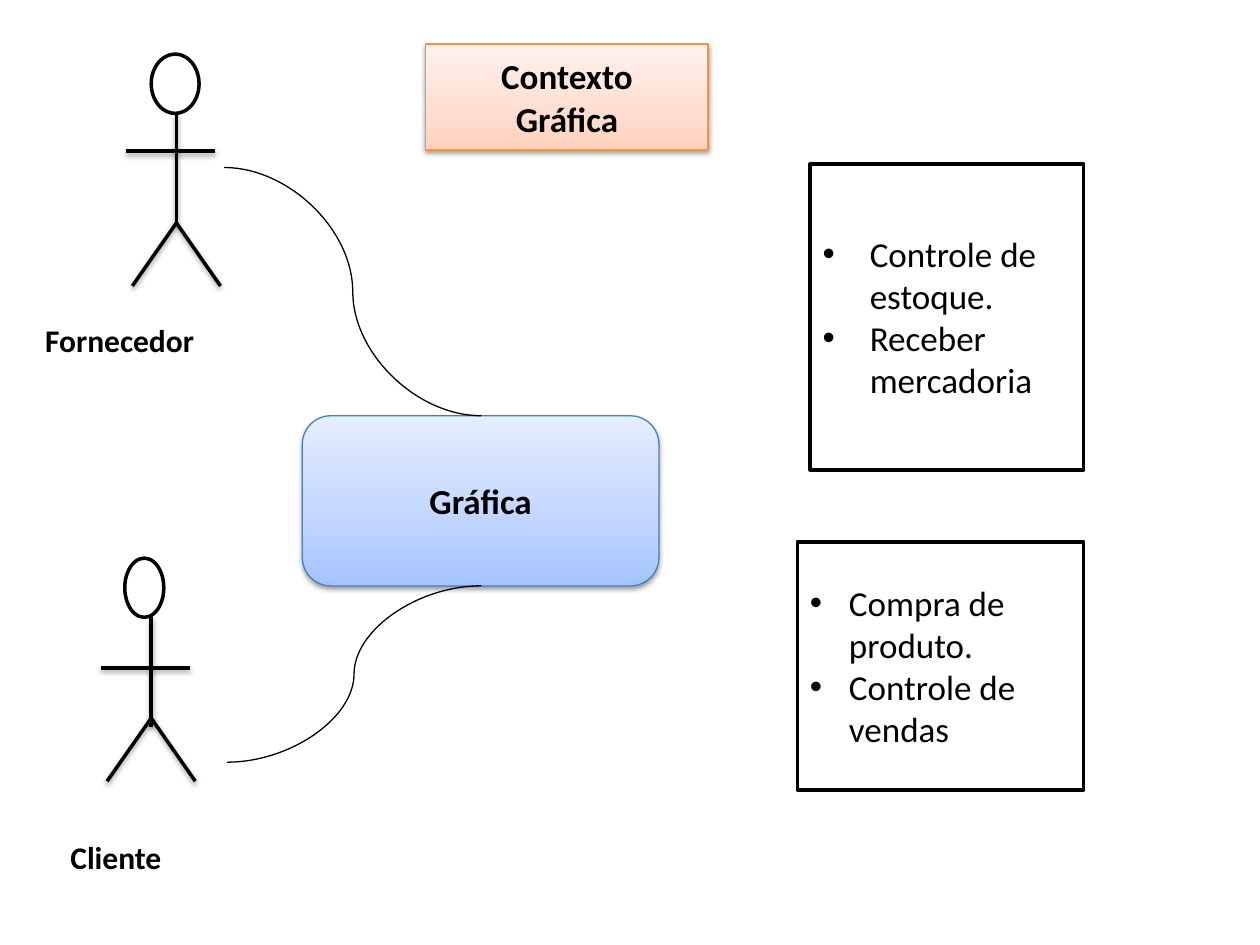
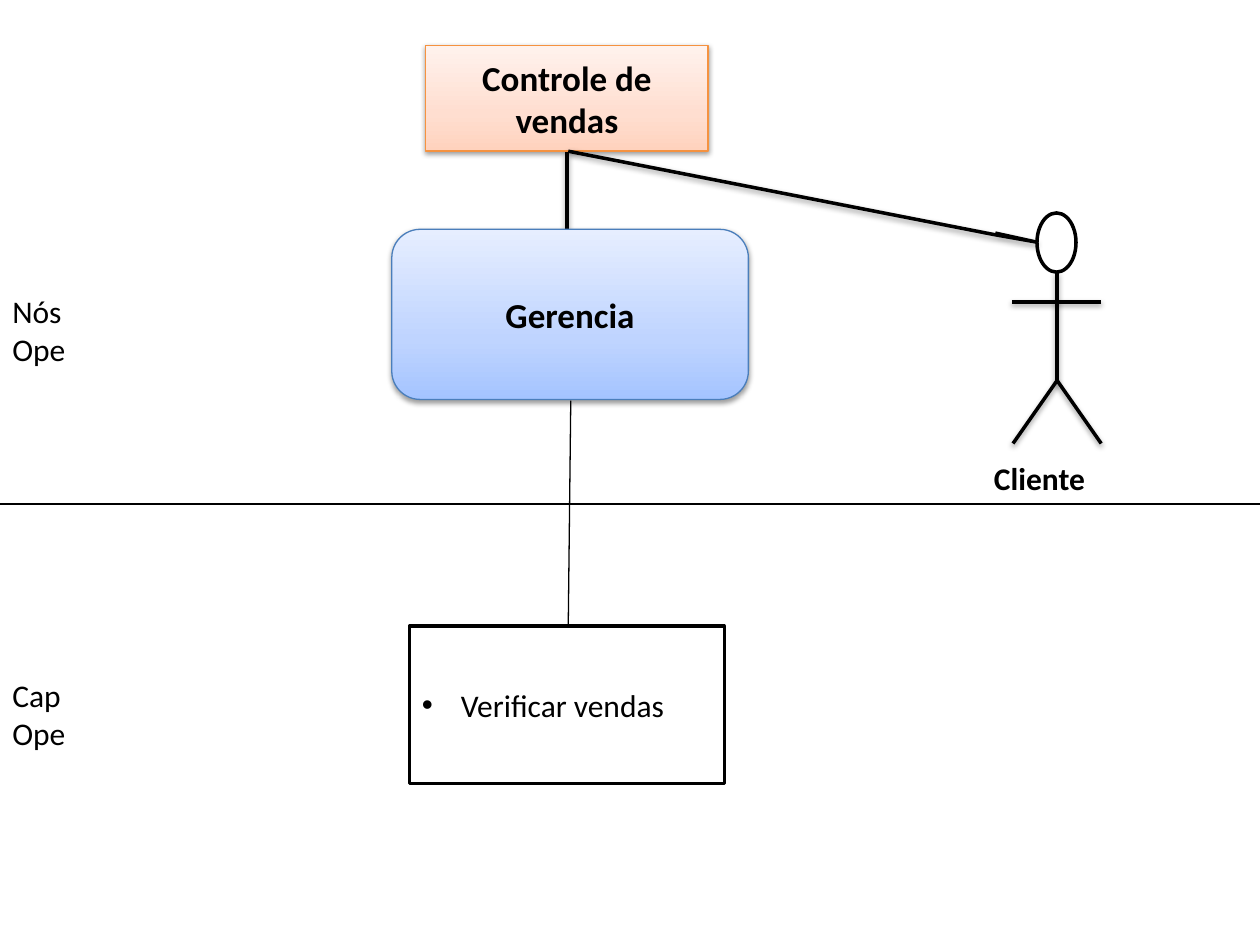
import pptx
import pptx.util
import pptx.dml.color
import pptx.enum.shapes
import pptx.enum.text
import pptx.oxml.ns
from lxml import etree

# Content: all lengths are cells of a grid of 100 columns by 75 rows
COLS, ROWS = 100, 75
CELL = pptx.util.Inches(10) // COLS
BLACK, WHITE = "000000", "FFFFFF"
THIN, THICK = 0.75, 2
ORANGE = dict(edge="F59240", stops=[(0, "FFD2BD"), (35, "FFDED0"), (100, "FFF2ED")])
BLUE = dict(edge="4A7EBB", stops=[(0, "A4C4FF"), (35, "BFD4FF"), (100, "E6EEFF")])
TITLE = (33.8, 22.4, 8.4)    # left, width, height shared by both titles
NODE = (28.3, 13.5)          # width, height of every blue node
HEAD, BODY, ARM, LEG, STEP = 4.7, 8.7, 7.1, 3.5, 5

SLIDES = [
    dict(
        title=(3.5, ["Contexto", "Gráfica"]),
        node=(24, 33, "Gráfica"),
        actors=[
            dict(x=14, top=4.3, head=(12, 3.8), arm=(10, 12), hip=17.7),
            dict(x=12, top=44.3, head=(9.9, 3.1), arm=(8, 53), hip=57),
        ],
        labels=[
            (2.6, 25, 17.9, 4, ["Fornecedor"], True),
            (4.6, 66, 12.8, 4, ["Cliente"], True),
        ],
        lists=[
            (64.3, 13, 21.7, 24.3, 20, 3.75, ["Controle de estoque.", "Receber mercadoria"]),
            (63.3, 43, 22.7, 19.7, 20, 3.1, ["Compra de produto.", "Controle de vendas"]),
        ],
        curves=[(17.8, 13.3, 38.2, 33), (18, 60.5, 38.2, 46.5)],
    ),
    dict(
        title=(3.6, ["Controle de vendas"]),
        node=(31.1, 18.2, "Gerencia"),
        actors=[dict(x=83.9, top=16.9, head=(82.3, 3.1), arm=(80.3, 23.95), hip=30.2)],
        labels=[
            (77.9, 35.9, 11.9, 4, ["Cliente"], True),
            (0, 22.7, 7, 10, ["Nós", "Ope"], False),
            (0, 53.2, 7, 10, ["Cap", "Ope"], False),
        ],
        lists=[(32.5, 49.7, 25, 12.5, 18, 3.1, ["Verificar vendas"])],
        bars=[(45, 12.1, 45, 18.2)],
        rules=[(COLS, 40, 0, 40), (45.3, 31.8, 45.1, 49.7)],
        path=[(45.1, 12), (78.8, 18.6), (82.2, 19.2), (79, 18.5)],
    ),
]

SHAPE = pptx.enum.shapes.MSO_SHAPE
LINK = pptx.enum.shapes.MSO_CONNECTOR
ALIGN = pptx.enum.text.PP_ALIGN
MIDDLE = pptx.enum.text.MSO_ANCHOR.MIDDLE
qn = pptx.oxml.ns.qn


# Helpers
def hue(code):
    return pptx.dml.color.RGBColor.from_string(code)


def grid(*cells):
    return [round(cell * CELL) for cell in cells]


def node(home, tag, **vals):
    return etree.SubElement(home, qn("a:" + tag), {k: str(v) for k, v in vals.items()})


def tint(home, code):
    return node(home, "srgbClr", val=code)


def edge(part, code=BLACK, width=THICK, shade=False):
    part.line.color.rgb = hue(code)
    part.line.width = pptx.util.Pt(width)
    box = node(part._element.spPr, "effectLst")
    if shade:
        drop = node(box, "outerShdw", blurRad=pptx.util.Pt(3.1),
                    dist=pptx.util.Pt(1.6), dir=5400000, rotWithShape=0)
        node(tint(drop, BLACK), "alpha", val=38000)


def link(page, ends, kind=LINK.STRAIGHT, **look):
    edge(page.shapes.add_connector(kind, *grid(*ends)), **look)


def write(part, lines, size, bold=False, align=ALIGN.LEFT, dent=0, wrap=True):
    frame = part.text_frame
    frame.word_wrap = wrap
    frame.text = "\n".join(lines)
    look = dict(size=pptx.util.Pt(size), bold=bold, name="Calibri")
    for para in frame.paragraphs:
        para.alignment = align
        font = para.runs[0].font
        for key, val in look.items():
            setattr(font, key, val)
        font.color.rgb = hue(BLACK)
        if dent:
            props = para._p.get_or_add_pPr()
            step, = grid(dent)
            props.set("marL", str(step))
            props.set("indent", str(-step))
            tint(node(props, "buClr"), BLACK)
            node(props, "buFont", typeface="Arial")
            node(props, "buChar", char="•")


def plain(page, kind, place, fill=WHITE):
    part = page.shapes.add_shape(kind, *grid(*place))
    part.fill.solid()
    part.fill.fore_color.rgb = hue(fill)
    edge(part)
    return part


def glossy(page, kind, place, theme, lines):
    part = page.shapes.add_shape(kind, *grid(*place))
    part.fill.gradient()
    part.fill.gradient_angle = 90
    stops = part._element.spPr.find(".//" + qn("a:gsLst"))
    for old in list(stops):
        stops.remove(old)
    for pos, code in theme["stops"]:
        tint(node(stops, "gs", pos=pos * 1000), code)
    edge(part, theme["edge"], THIN, True)
    part.text_frame.vertical_anchor = MIDDLE
    write(part, lines, 20, True, ALIGN.CENTER)


def actor(page, x, top, head, arm, hip):
    left, wide = head
    plain(page, SHAPE.OVAL, (left, top, wide, HEAD))
    neck, (hand, row) = top + HEAD, arm
    limbs = [(x, neck + BODY, x, neck), (hand, row, hand + ARM, row)]
    limbs += [(x, hip, x + side * LEG, hip + STEP) for side in (-1, 1)]
    for limb in limbs:
        link(page, limb, shade=True)


def build(page, title, node, actors, labels, lists,
          curves=(), bars=(), rules=(), path=()):
    # Title and main node
    top, lines = title
    left, wide, high = TITLE
    glossy(page, SHAPE.RECTANGLE, (left, top, wide, high), ORANGE, lines)
    for ends in bars:
        link(page, ends, shade=True)
    x, y, name = node
    glossy(page, SHAPE.ROUNDED_RECTANGLE, (x, y, *NODE), BLUE, [name])
    # Actors and their labels
    for data in actors:
        actor(page, **data)
    if path:
        first, *rest = [grid(*spot) for spot in path]
        pen = page.shapes.build_freeform(*first)
        pen.add_line_segments(rest, close=False)
        trace = pen.convert_to_shape()
        trace.fill.background()
        edge(trace, shade=True)
    for *place, lines, bold in labels:
        write(page.shapes.add_textbox(*grid(*place)), lines, 18, bold, wrap=False)
    # Bulleted boxes
    for *place, size, dent, lines in lists:
        box = plain(page, SHAPE.RECTANGLE, place)
        box.text_frame.vertical_anchor = MIDDLE
        write(box, lines, size, dent=dent)
    # Thin links
    for ends in curves:
        link(page, ends, LINK.CURVE, width=THIN)
    for ends in rules:
        link(page, ends, width=THIN)


deck = pptx.Presentation()
deck.slide_width, deck.slide_height = grid(COLS, ROWS)
for data in SLIDES:
    build(deck.slides.add_slide(deck.slide_layouts[6]), **data)
deck.save("out.pptx")
